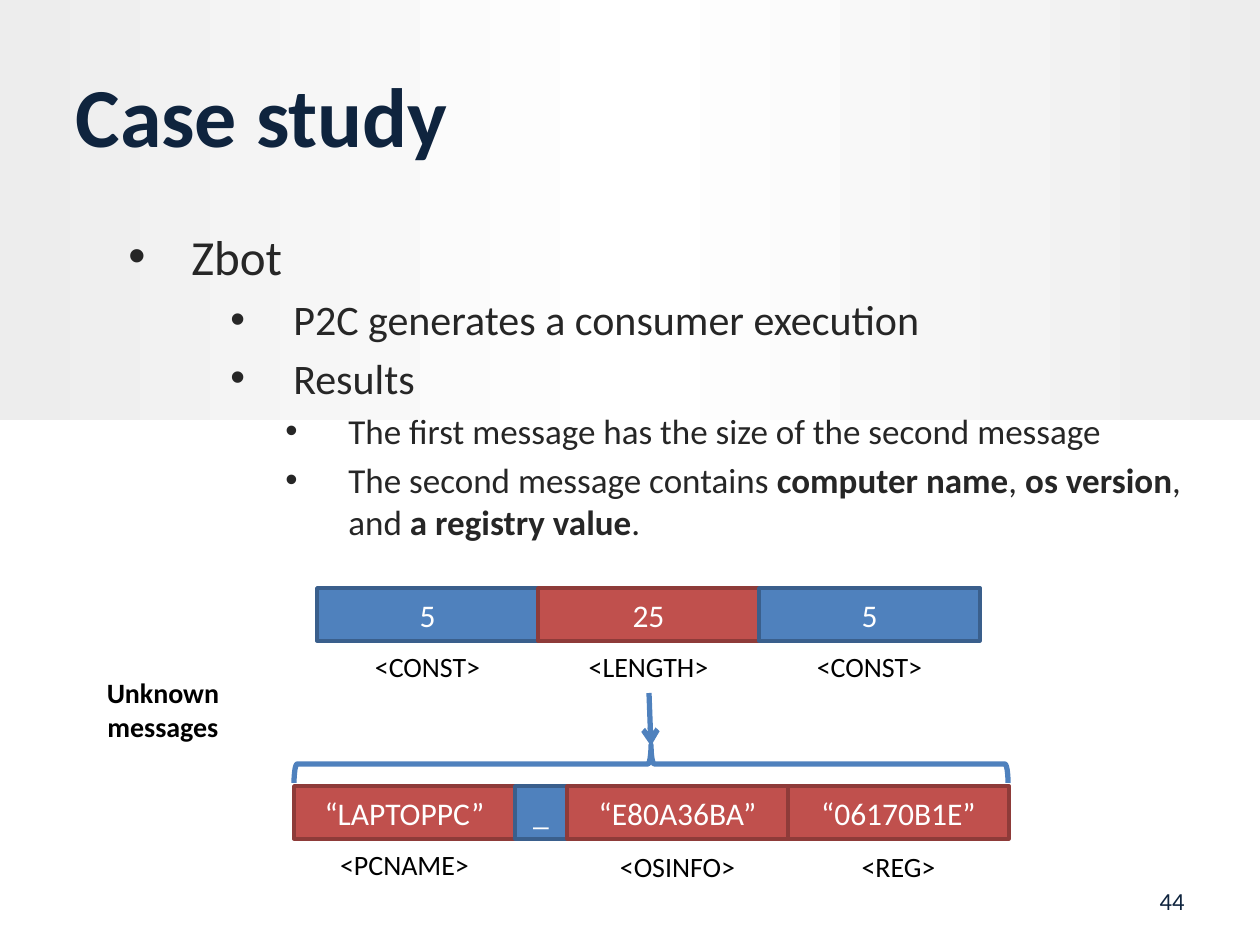
import copy
import pptx
import pptx.util
import pptx.dml.color
import pptx.enum.shapes
import pptx.enum.text
import pptx.oxml.ns
import pptx.oxml.xmlchemy

RGB = pptx.dml.color.RGBColor
SHAPE = pptx.enum.shapes.MSO_SHAPE
ALIGN = pptx.enum.text.PP_ALIGN
ANCHOR = pptx.enum.text.MSO_ANCHOR
qn = pptx.oxml.ns.qn

NAVY = RGB(0x0F, 0x24, 0x3E)
INK = RGB(0x26, 0x26, 0x26)
BLACK = RGB(0, 0, 0)
WHITE = RGB(0xFF, 0xFF, 0xFF)
EDGE_GRAY = RGB(0xED, 0xED, 0xED)
BLUE = RGB(0x4F, 0x81, 0xBD)
BLUE_LINE = RGB(0x3A, 0x5F, 0x8C)
RED = RGB(0xC0, 0x50, 0x4D)
RED_LINE = RGB(0x8E, 0x3B, 0x39)

TITLE = "Case study"
PAGE_NUMBER = "44"
SIDE_LABEL = "Unknown messages"
BULLETS = [
    (0, [("Zbot", False)]),
    (1, [("P2C generates a consumer execution", False)]),
    (1, [("Results", False)]),
    (2, [("The first message has the size of the second message", False)]),
    (2, [("The second message contains ", False), ("computer name", True),
         (", ", False), ("os version", True), (", and ", False),
         ("a registry value", True), (".", False)]),
]
LEVELS = [(28, 63), (24, 165), (20, 220)]
HANGING = 63

FIELD_WIDTH, SEPARATOR_WIDTH, FIELD_HEIGHT = 221, 52, 53
CONSTANT, VARIABLE = (BLUE, BLUE_LINE), (RED, RED_LINE)
MESSAGES = [
    (317, 588, [
        ("5", "<CONST>", CONSTANT, FIELD_WIDTH, 640),
        ("25", "<LENGTH>", VARIABLE, FIELD_WIDTH, 640),
        ("5", "<CONST>", CONSTANT, FIELD_WIDTH, 640),
    ]),
    (294, 786, [
        ("“LAPTOPPC”", "<PCNAME>", VARIABLE, FIELD_WIDTH, 838),
        ("_", None, CONSTANT, SEPARATOR_WIDTH, 838),
        ("“E80A36BA”", "<OSINFO>", VARIABLE, FIELD_WIDTH, 840),
        ("“06170B1E”", "<REG>", VARIABLE, FIELD_WIDTH, 840),
    ]),
]


def px(value):
    return round(value * 914400 / 126)


def append_mark(parent, tag, **attributes):
    mark = pptx.oxml.xmlchemy.OxmlElement(tag)
    for name, value in attributes.items():
        mark.set(name, value)
    parent.append(mark)


def format_font(font, **values):
    font.name = "Calibri"
    font.color.rgb = values.pop("color")
    for name, value in values.items():
        setattr(font, name, value)


def write(shape, text, size, color, align=ALIGN.CENTER, bold=False):
    frame = shape.text_frame
    frame.word_wrap = True
    frame.vertical_anchor = ANCHOR.MIDDLE
    para = frame.paragraphs[0]
    para.alignment = align
    span = para.add_run()
    span.text = text
    format_font(span.font, size=pptx.util.Pt(size), color=color, bold=bold)


def add_label(page, area, text, size, color, **style):
    box = page.shapes.add_textbox(*map(px, area))
    write(box, text, size, color, **style)


def add_shape(page, kind, area):
    shape = page.shapes.add_shape(kind, *map(px, area))
    shape.shadow.inherit = False
    return shape


def add_backdrop(page):
    backdrop = add_shape(page, SHAPE.RECTANGLE, (0, 0, 1260, 420))
    backdrop.line.fill.background()
    backdrop.fill.gradient()
    backdrop.fill.gradient_angle = 0
    first, last = backdrop.fill.gradient_stops
    first.color.rgb = WHITE
    stops = backdrop._element.spPr.find(".//" + qn("a:gsLst"))
    middle = copy.deepcopy(stops[0])
    middle.set("pos", "50000")
    first.color.rgb = last.color.rgb = EDGE_GRAY
    stops.insert(1, middle)
    tree = page.shapes._spTree
    tree.remove(backdrop._element)
    tree.insert(2, backdrop._element)


def add_bullets(page):
    frame = page.shapes.add_textbox(*map(px, (116, 220, 1081, 624))).text_frame
    frame.word_wrap = True
    for index, (level, spans) in enumerate(BULLETS):
        para = frame.add_paragraph() if index else frame.paragraphs[0]
        size, indent = LEVELS[level]
        para.level = level
        para.space_before = pptx.util.Pt(size * 0.2)
        properties = para._p.get_or_add_pPr()
        properties.set("marL", str(px(indent)))
        properties.set("indent", str(-px(HANGING)))
        append_mark(properties, "a:buFont", typeface="Arial")
        append_mark(properties, "a:buChar", char="•")
        for text, bold in spans:
            span = para.add_run()
            span.text = text
            format_font(span.font, size=pptx.util.Pt(size), color=INK, bold=bold)


def add_message(page, left, top, fields):
    for value, label, (fill, line), width, label_top in fields:
        field = add_shape(page, SHAPE.RECTANGLE, (left, top, width, FIELD_HEIGHT))
        field.fill.solid()
        field.fill.fore_color.rgb = fill
        field.line.color.rgb = line
        field.line.width = pptx.util.Pt(2)
        write(field, value, 18, WHITE)
        if label:
            add_label(page, (left, label_top, width, FIELD_HEIGHT), label, 16, BLACK)
        left += width


def add_link(page):
    brace = add_shape(page, SHAPE.LEFT_BRACE, (632, 407, 38, 714))
    brace.rotation = 90
    brace.fill.background()
    arrow = page.shapes.add_connector(
        pptx.enum.shapes.MSO_CONNECTOR.STRAIGHT, *map(px, (649, 693, 651, 746)))
    for shape in (brace, arrow):
        shape.line.color.rgb = BLUE
        shape.line.width = pptx.util.Pt(3)
    properties = arrow._element.spPr
    append_mark(properties.find(qn("a:ln")), "a:tailEnd", type="arrow")
    append_mark(properties, "a:effectLst")


def main():
    deck = pptx.Presentation()
    deck.slide_width, deck.slide_height = px(1260), px(945)
    page = deck.slides.add_slide(deck.slide_layouts[5])
    add_backdrop(page)

    title = page.shapes.title
    for name, value in {"left": 63, "top": 38, "width": 1134, "height": 151}.items():
        setattr(title, name, px(value))
    write(title, TITLE, 48, NAVY, align=ALIGN.LEFT, bold=True)

    add_bullets(page)
    for message in MESSAGES:
        add_message(page, *message)
    add_label(page, (53, 630, 220, 159), SIDE_LABEL, 16, BLACK, bold=True)
    add_link(page)
    add_label(page, (903, 876, 294, 50), PAGE_NUMBER, 14, NAVY, align=ALIGN.RIGHT)
    deck.save("out.pptx")


if __name__ == "__main__":
    main()
